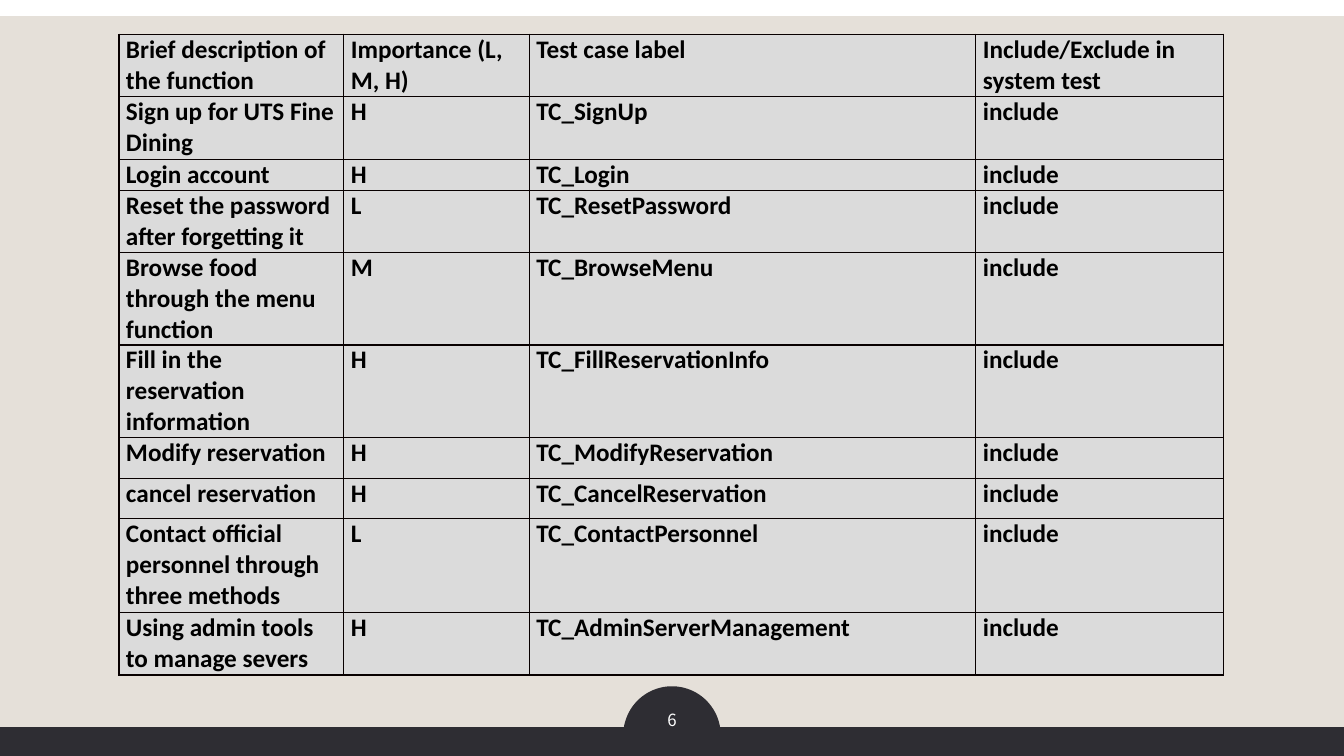
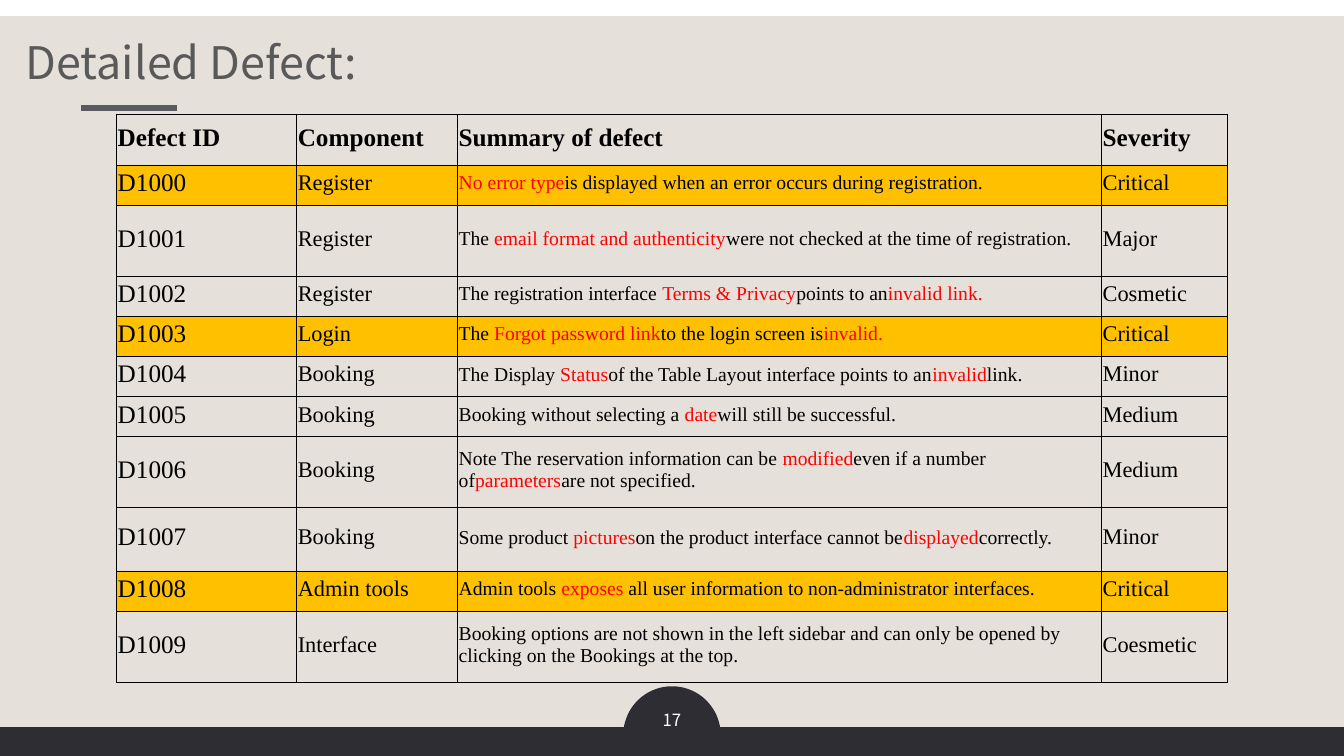
import math

import lxml.etree
import pptx
import pptx.dml.color
import pptx.enum.shapes
import pptx.enum.text
import pptx.oxml
import pptx.oxml.ns
import pptx.util

Pt = pptx.util.Pt
SHAPES = pptx.enum.shapes.MSO_SHAPE
ALIGN = pptx.enum.text.PP_ALIGN
ANCHOR = pptx.enum.text.MSO_ANCHOR
qn = pptx.oxml.ns.qn

COLORS = {
    "backdrop": "E4DFD8",
    "footer": "2E2D33",
    "page": "FFFFFF",
    "title": "595959",
    "accent": "5A5A60",
    "text": "000000",
    "emphasis": "FF0000",
    "cell": "DBDBDB",
    "critical": "FFC000",
    "test_border": "080000",
    "defect_border": "000000",
}
THEME_FONT = "Noto Sans CJK SC"
WIDTH, HEIGHT = 960, 540


class Deck:
    def __init__(self):
        self.presentation = pptx.Presentation()
        self.presentation.slide_width = Pt(WIDTH)
        self.presentation.slide_height = Pt(HEIGHT)
        self.slide = None

    def color(self, name):
        return pptx.dml.color.RGBColor.from_string(COLORS[name])

    def add_slide(self, number):
        self.slide = self.presentation.slides.add_slide(self.presentation.slide_layouts[6])
        self.rectangle(SHAPES.RECTANGLE, 11.5, 528.5, "backdrop", 95)
        self.rectangle(SHAPES.FLOWCHART_PROCESS, 519, 21, "footer")
        self.dome(WIDTH / 2, 525, 34.8)
        self.text(str(number), (455, 499.7, 50, 29), 12, "page", anchor=ANCHOR.MIDDLE)

    def paint(self, shape, color):
        shape.shadow.inherit = False
        shape.fill.solid()
        shape.fill.fore_color.rgb = self.color(color)
        shape.line.fill.background()

    def rectangle(self, kind, top, height, color, opacity=100):
        shape = self.slide.shapes.add_shape(kind, 0, Pt(top), Pt(WIDTH), Pt(height))
        self.paint(shape, color)
        if opacity < 100:
            fill_color = shape.fill._xPr.find(qn("a:solidFill"))[0]
            alpha = lxml.etree.SubElement(fill_color, qn("a:alpha"))
            alpha.set("val", str(opacity * 1000))

    def dome(self, center, base, radius):
        points = [
            (
                Pt(center - radius * math.cos(math.radians(angle))),
                Pt(base - radius * math.sin(math.radians(angle))),
            )
            for angle in range(0, 181, 4)
        ]
        builder = self.slide.shapes.build_freeform(*points[0])
        builder.add_line_segments(points[1:], close=True)
        self.paint(builder.convert_to_shape(), "footer")

    def run(self, paragraph, text, size, color, font=THEME_FONT, bold=False):
        run = paragraph.add_run()
        run.text = text
        run.font.name = font
        run.font.size = Pt(size)
        run.font.bold = bold
        run.font.color.rgb = self.color(color)

    def text(self, text, box, size, color, anchor=ANCHOR.TOP, wrap=True):
        frame = self.slide.shapes.add_textbox(*map(Pt, box)).text_frame
        frame.word_wrap = wrap
        frame.vertical_anchor = anchor
        frame.paragraphs[0].alignment = ALIGN.CENTER
        self.run(frame.paragraphs[0], text, size, color)

    def title(self, text):
        self.text(text, (6, 21.5, 268.5, 46), 32, "title", wrap=False)
        line = self.slide.shapes.add_connector(
            pptx.enum.shapes.MSO_CONNECTOR.STRAIGHT, Pt(57.6), Pt(77), Pt(126.7), Pt(77)
        )
        line.line.color.rgb = self.color("accent")
        line.line.width = Pt(4)
        lxml.etree.SubElement(line._element.spPr, qn("a:effectLst"))

    def table(self, left, top, widths, heights):
        frame = self.slide.shapes.add_table(
            len(heights), len(widths), Pt(left), Pt(top), Pt(sum(widths)), Pt(sum(heights))
        )
        table = frame.table
        table.first_row = False
        table.horz_banding = False
        for column, width in zip(table.columns, widths):
            column.width = Pt(width)
        for row, height in zip(table.rows, heights):
            row.height = Pt(height)
        return table

    def cell(self, cell, text, size, font, bold, fill, border, margins, anchor=ANCHOR.TOP):
        cell.margin_left, cell.margin_top, cell.margin_right, cell.margin_bottom = map(Pt, margins)
        cell.vertical_anchor = anchor
        if fill:
            cell.fill.solid()
            cell.fill.fore_color.rgb = self.color(fill)
        else:
            cell.fill.background()
        for index, part in enumerate(text.split("|")):
            if part:
                color = "emphasis" if index % 2 else "text"
                self.run(cell.text_frame.paragraphs[0], part, size, color, font, bold)
        self.borders(cell, *border)

    def borders(self, cell, color, width):
        properties = cell._tc.get_or_add_tcPr()
        for index, side in enumerate(("lnL", "lnR", "lnT", "lnB")):
            line = lxml.etree.Element(qn("a:" + side), w=str(int(Pt(width))))
            fill = lxml.etree.SubElement(line, qn("a:solidFill"))
            lxml.etree.SubElement(fill, qn("a:srgbClr"), val=COLORS[color])
            properties.insert(index, line)


TEST_CASES = [
    ("Brief description of the function", "Importance (L, M, H)", "Test case label",
     "Include/Exclude in system test"),
    ("Sign up for UTS Fine Dining", "H", "TC_SignUp", "include"),
    ("Login account", "H", "TC_Login", "include"),
    ("Reset the password after forgetting it", "L", "TC_ResetPassword", "include"),
    ("Browse food through the menu function", "M", "TC_BrowseMenu", "include"),
    ("Fill in the reservation information", "H", "TC_FillReservationInfo", "include"),
    ("Modify reservation", "H", "TC_ModifyReservation", "include"),
    ("cancel reservation", "H", "TC_CancelReservation", "include"),
    ("Contact official personnel through three methods", "L", "TC_ContactPersonnel", "include"),
    ("Using admin tools to manage severs", "H", "TC_AdminServerManagement", "include"),
]
TEST_WIDTHS = (160.6, 132.5, 319, 177)
TEST_HEIGHTS = (44.6, 44.6, 22.3, 44.6, 65.9, 65.9, 29.5, 28.8, 67, 44.6)

DEFECTS = [
    ("Defect ID", "Component", "Summary of defect", "Severity"),
    ("D1000", "Register",
     "|No error type|is displayed when an error occurs during registration.", "Critical"),
    ("D1001", "Register",
     "The |email format and authenticity|were not checked at the time of registration.", "Major"),
    ("D1002", "Register",
     "The registration interface |Terms & Privacy|points to an|invalid link.", "Cosmetic"),
    ("D1003", "Login",
     "The |Forgot password link|to the login screen is|invalid.", "Critical"),
    ("D1004", "Booking",
     "The Display |Status|of the Table Layout interface points to an|invalid|link.", "Minor"),
    ("D1005", "Booking",
     "Booking without selecting a |date|will still be successful.", "Medium"),
    ("D1006", "Booking",
     "Note The reservation information can be |modified|even if a number of|parameters|"
     "are not specified.", "Medium"),
    ("D1007", "Booking",
     "Some product |pictures|on the product interface cannot be|displayed|correctly.", "Minor"),
    ("D1008", "Admin tools",
     "Admin tools |exposes| all user information to non-administrator interfaces.", "Critical"),
    ("D1009", "Interface",
     "Booking options are not shown in the left sidebar and can only be opened by "
     "clicking on the Bookings at the top.", "Coesmetic"),
]
DEFECT_WIDTHS = (128.6, 115, 460, 90)
DEFECT_HEIGHTS = (36, 28.7, 50.6, 28.7, 28.7, 28.7, 28.7, 50.6, 45.6, 28.7, 50.6)
DEFECT_SIZES = (18, 16, 14, 16)


def add_test_cases(deck):
    deck.add_slide(6)
    table = deck.table(85, 24.5, TEST_WIDTHS, TEST_HEIGHTS)
    for row, values in enumerate(TEST_CASES):
        for column, value in enumerate(values):
            deck.cell(table.cell(row, column), value, 18, "Calibri", True, "cell",
                      ("test_border", 1), (5, 0, 5, 0))


def add_defects(deck):
    deck.add_slide(17)
    deck.title("Detailed Defect: ")
    table = deck.table(83.3, 81.8, DEFECT_WIDTHS, DEFECT_HEIGHTS)
    for row, values in enumerate(DEFECTS):
        header = row == 0
        fill = "critical" if values[-1] == "Critical" else None
        for column, value in enumerate(values):
            size = 18 if header else DEFECT_SIZES[column]
            deck.cell(table.cell(row, column), value, size, "Times New Roman", header, fill,
                      ("defect_border", 0.5), (0.8, 0.8, 0.8, 3.6), ANCHOR.MIDDLE)


def main():
    deck = Deck()
    add_test_cases(deck)
    add_defects(deck)
    deck.presentation.save("out.pptx")


if __name__ == "__main__":
    main()
